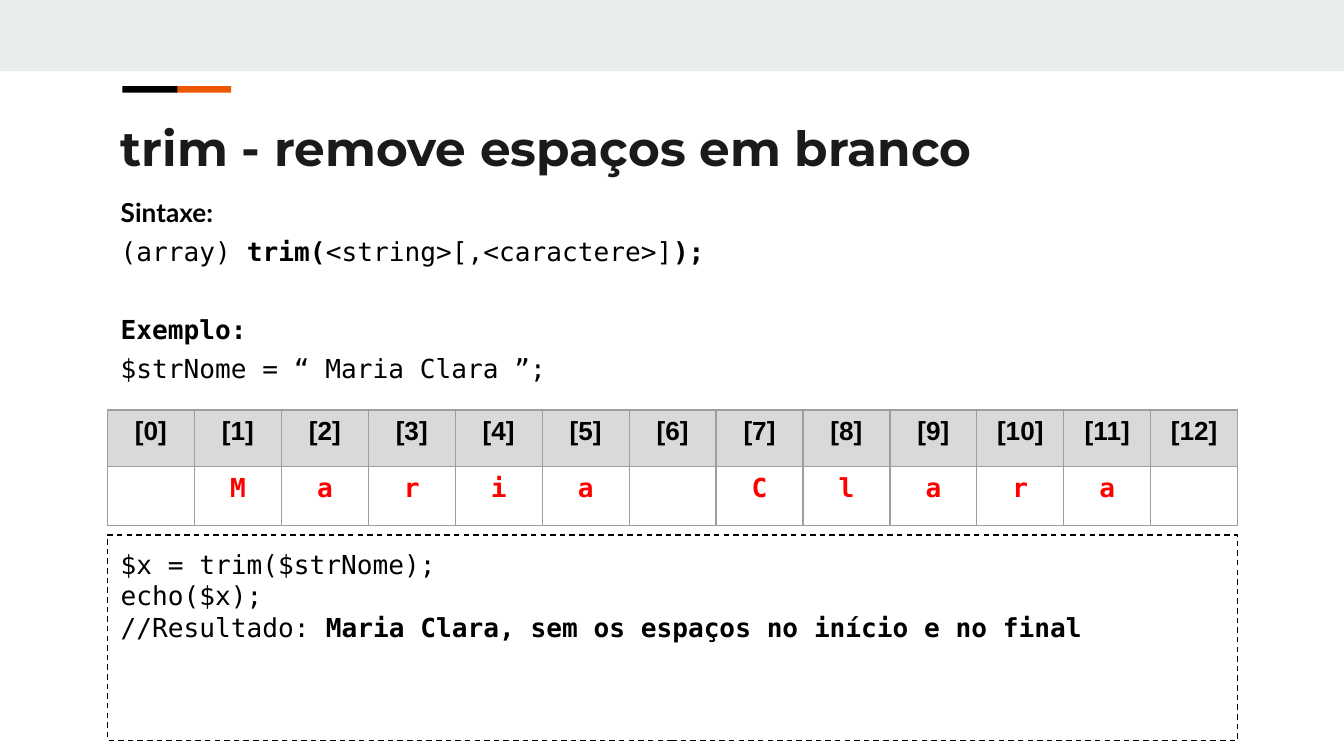
from dataclasses import dataclass

from lxml.etree import SubElement
from pptx import Presentation
from pptx.dml.color import RGBColor
from pptx.enum.dml import MSO_LINE_DASH_STYLE as Dash
from pptx.enum.shapes import MSO_SHAPE as Shape
from pptx.enum.text import MSO_ANCHOR as Anchor, PP_ALIGN as Align
from pptx.oxml.ns import qn
from pptx.util import Inches, Pt

BLACK = RGBColor(0x00, 0x00, 0x00)
INK = RGBColor(0x1A, 0x1A, 0x1A)
ORANGE = RGBColor(0xEB, 0x56, 0x00)
RED = RGBColor(0xFF, 0x00, 0x00)
BAND = RGBColor(0xE9, 0xED, 0xEE)
HEADER = RGBColor(0xD9, 0xD9, 0xD9)
GRID = RGBColor(0x9E, 0x9E, 0x9E)
MONO = "DejaVu Sans Mono"
LEFT, WIDTH = 0.8, 8.41
NAME = " Maria Clara "


@dataclass(frozen=True)
class Bar:
    left: float
    top: float
    width: float
    height: float
    color: RGBColor


@dataclass(frozen=True)
class Line:
    runs: tuple[tuple[str, bool], ...]
    font: str = MONO
    before: float = 0
    after: float = 0


BARS = (
    Bar(0, 0, 10, 0.53, BAND),
    Bar(1.31, 0.64, 0.41, 0.05, ORANGE),
    Bar(0.91, 0.64, 0.41, 0.05, BLACK),
)
SYNTAX = (
    Line((("Sintaxe:", True),), font="Lato"),
    Line((("(array) ", False), ("trim(", True),
          ("<string>[,<caractere>]", False), (");", True)), before=4),
    Line((("Exemplo:", True),), before=25),
    Line(((f"$strNome = “{NAME}”;", False),), before=4, after=4),
)
CODE = (
    Line((("$x = trim($strNome);", False),)),
    Line((("echo($x);", False),)),
    Line((("//Resultado: ", False),
          ("Maria Clara, sem os espaços no início e no final", True))),
)


def add_text(p, text: str, *, font=MONO, size=14, color=BLACK, bold=False):
    r = p.add_run()
    r.text = text
    r.font.name, r.font.size = font, Pt(size)
    r.font.bold, r.font.color.rgb = bold, color


def prepare_frame(sp):
    tf = sp.text_frame
    tf.word_wrap = True
    tf.vertical_anchor = Anchor.TOP
    tf.margin_left = tf.margin_right = Inches(0.1)
    tf.margin_top = tf.margin_bottom = Inches(0.1)
    return tf


def add_box(s, top: float, height: float):
    return s.shapes.add_textbox(
        Inches(LEFT), Inches(top), Inches(WIDTH), Inches(height))


def add_rect(s, left: float, top: float, width: float, height: float):
    sp = s.shapes.add_shape(Shape.RECTANGLE, Inches(left), Inches(top),
                            Inches(width), Inches(height))
    sp.shadow.inherit = False
    return sp


def write_lines(tf, lines: tuple[Line, ...]):
    for i, line in enumerate(lines):
        p = tf.add_paragraph() if i else tf.paragraphs[0]
        p.alignment = Align.LEFT
        p.space_before, p.space_after = Pt(line.before), Pt(line.after)
        for text, bold in line.runs:
            add_text(p, text, font=line.font, bold=bold)


def draw_bar(s, bar: Bar):
    sp = add_rect(s, bar.left, bar.top, bar.width, bar.height)
    sp.fill.solid()
    sp.fill.fore_color.rgb = bar.color
    sp.line.fill.background()


def set_borders(cell):
    tc_pr = cell._tc.get_or_add_tcPr()
    for side in ("a:lnL", "a:lnR", "a:lnT", "a:lnB"):
        ln = SubElement(tc_pr, qn(side), w=str(Pt(0.74)))
        fill = SubElement(ln, qn("a:solidFill"))
        SubElement(fill, qn("a:srgbClr"), val=str(GRID))


def draw_letters(s):
    heights = (0.42, 0.44)
    table = s.shapes.add_table(
        2, len(NAME), Inches(LEFT), Inches(3.05),
        Inches(WIDTH), Inches(sum(heights))).table
    table.first_row = table.horz_banding = False
    for row, height in zip(table.rows, heights):
        row.height = Inches(height)
    for i, letter in enumerate(NAME):
        table.columns[i].width = Inches(WIDTH / len(NAME))
        head, body = table.cell(0, i), table.cell(1, i)
        for cell in (head, body):
            set_borders(cell)
            cell.text_frame.paragraphs[0].alignment = Align.CENTER
        head.fill.solid()
        head.fill.fore_color.rgb = HEADER
        body.fill.background()
        add_text(head.text_frame.paragraphs[0], f"[{i}]", font="Arial", bold=True)
        if letter.strip():
            add_text(body.text_frame.paragraphs[0], letter, color=RED, bold=True)


def draw_code(s):
    sp = add_rect(s, LEFT, 3.98, WIDTH, 1.53)
    sp.fill.background()
    sp.line.color.rgb = BLACK
    sp.line.width = Pt(0.74)
    sp.line.dash_style = Dash.DASH
    write_lines(prepare_frame(sp), CODE)


prs = Presentation()
prs.slide_width = Inches(10)
prs.slide_height = prs.slide_width * 9 // 16
s = prs.slides.add_slide(prs.slide_layouts[6])
for bar in BARS:
    draw_bar(s, bar)
title = prepare_frame(add_box(s, 0.78, 0.59))
add_text(title.paragraphs[0], "trim - remove espaços em branco",
         font="Montserrat", size=26, color=INK, bold=True)
write_lines(prepare_frame(add_box(s, 1.36, 1.53)), SYNTAX)
draw_letters(s)
draw_code(s)
prs.save("out.pptx")
